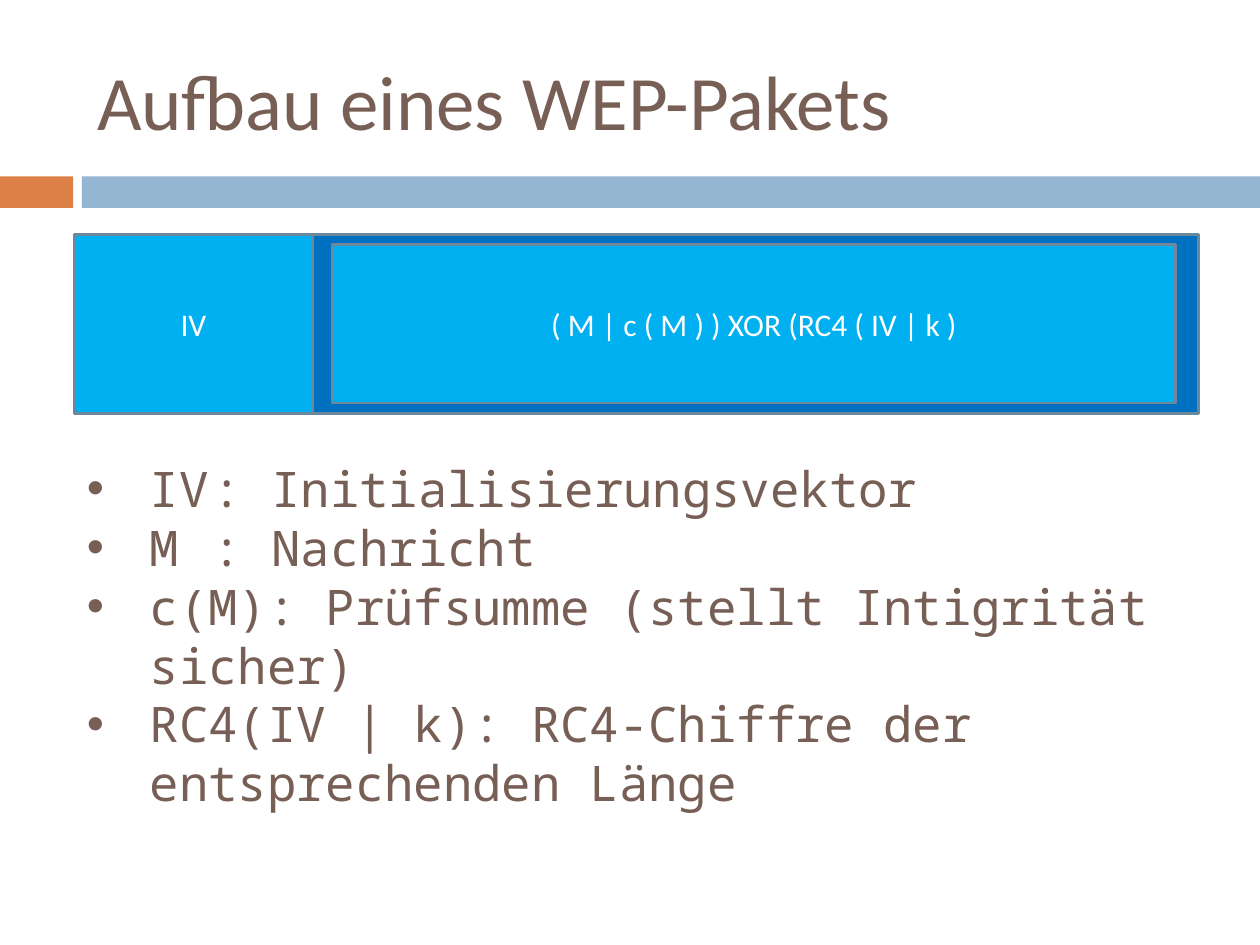
"""Build the slide on the structure of a WEP packet."""
from lxml import etree
from pptx import Presentation
from pptx.dml.color import RGBColor
from pptx.enum.shapes import MSO_SHAPE
from pptx.enum.text import MSO_ANCHOR, PP_ALIGN
from pptx.oxml.ns import qn
from pptx.util import Inches, Pt

RECT = MSO_SHAPE.RECTANGLE
MIDDLE = MSO_ANCHOR.MIDDLE
LEFT, CENTER = PP_ALIGN.LEFT, PP_ALIGN.CENTER
BROWN, CYAN, EDGE = "775F55", "00B0F0", "6D879B"


def paint(part, color):
    part.solid()
    part.fore_color.rgb = RGBColor.from_string(color)


def write(para, text, size, face, color, align):
    para.alignment = align
    run = para.add_run()
    run.text = text
    run.font.size = Pt(size)
    run.font.name = face
    paint(run.font.fill, color)


deck = Presentation()
deck.slide_width, deck.slide_height = Inches(10), Inches(7.5)
slide = deck.slides.add_slide(deck.slide_layouts[5])

title = slide.shapes.title
title.left, title.top = Inches(0.67), Inches(0.25)
title.width, title.height = Inches(8.92), Inches(1.08)
title.text_frame.vertical_anchor = MIDDLE
write(title.text_frame.paragraphs[0], "Aufbau eines WEP-Pakets", 44, "Calibri", BROWN, LEFT)

boxes = [
    (0, 1.4, 0.58, 0.25, "DD8047", None, ""),
    (0.65, 1.4, 9.35, 0.25, "94B6D2", None, ""),
    (0.59, 1.86, 8.92, 1.42, "0070C0", EDGE, ""),
    (0.59, 1.86, 1.89, 1.42, CYAN, EDGE, "IV"),
    (2.64, 1.94, 6.69, 1.26, CYAN, EDGE, "( M | c ( M ) ) XOR (RC4 ( IV | k )"),
]
for left, top, width, height, color, edge, text in boxes:
    box = slide.shapes.add_shape(RECT, Inches(left), Inches(top), Inches(width), Inches(height))
    box.shadow.inherit = False
    paint(box.fill, color)
    if edge:
        paint(box.line.fill, edge)
        box.line.width = Pt(1.5)
    else:
        box.line.fill.background()
    if text:
        box.text_frame.vertical_anchor = MIDDLE
        write(box.text_frame.paragraphs[0], text, 18, "Calibri", "FFFFFF", CENTER)

terms = [
    "IV\t: Initialisierungsvektor",
    "M\t: Nachricht",
    "c(M): Prüfsumme (stellt Intigrität sicher)",
    "RC4(IV | k): RC4-Chiffre der entsprechenden Länge",
]
legend = slide.shapes.add_textbox(Inches(0.59), Inches(3.59), Inches(8.92), Inches(3.54))
frame = legend.text_frame
frame.word_wrap = True
for index, term in enumerate(terms):
    para = frame.add_paragraph() if index else frame.paragraphs[0]
    props = para._p.get_or_add_pPr()
    props.set("marL", str(Inches(0.5)))
    props.set("indent", str(Inches(-0.5)))
    etree.SubElement(props, qn("a:buFont")).set("typeface", "Arial")
    etree.SubElement(props, qn("a:buChar")).set("char", "•")
    write(para, term, 28, "Noto Sans Mono", BROWN, LEFT)

deck.save("out.pptx")
